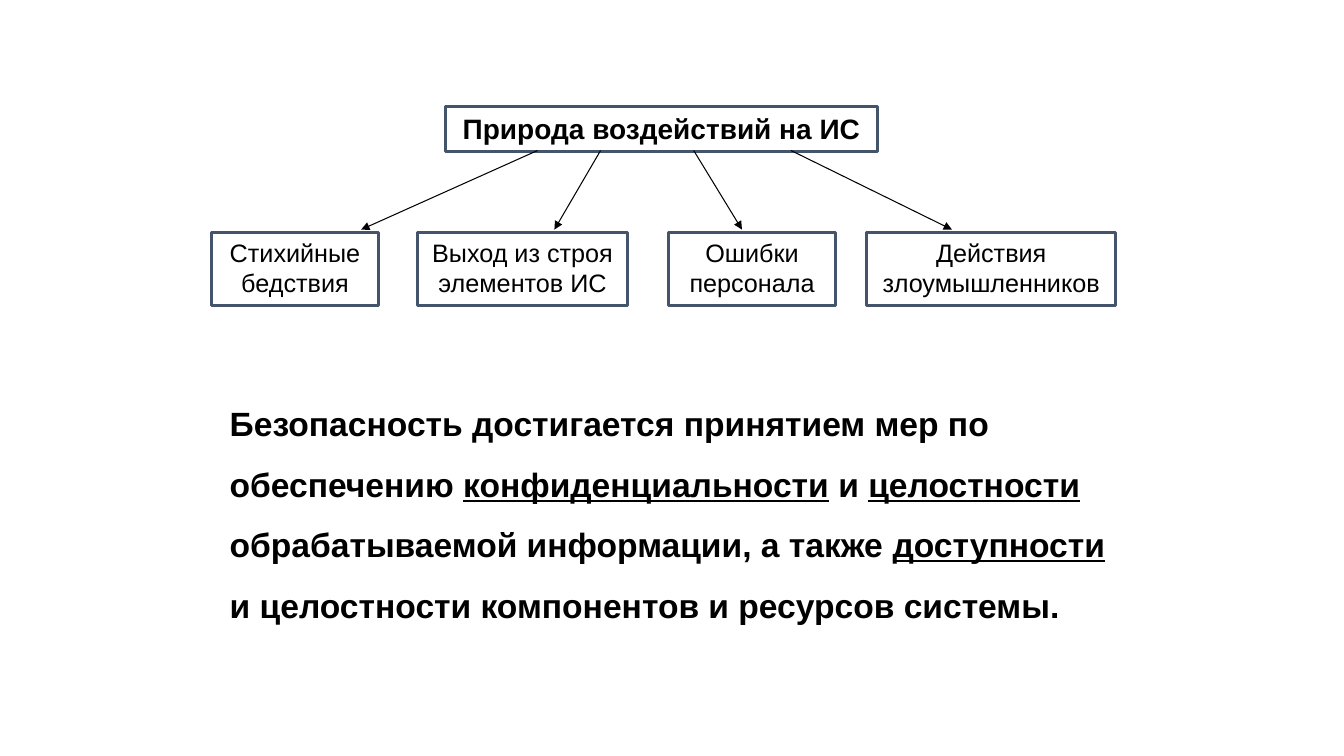
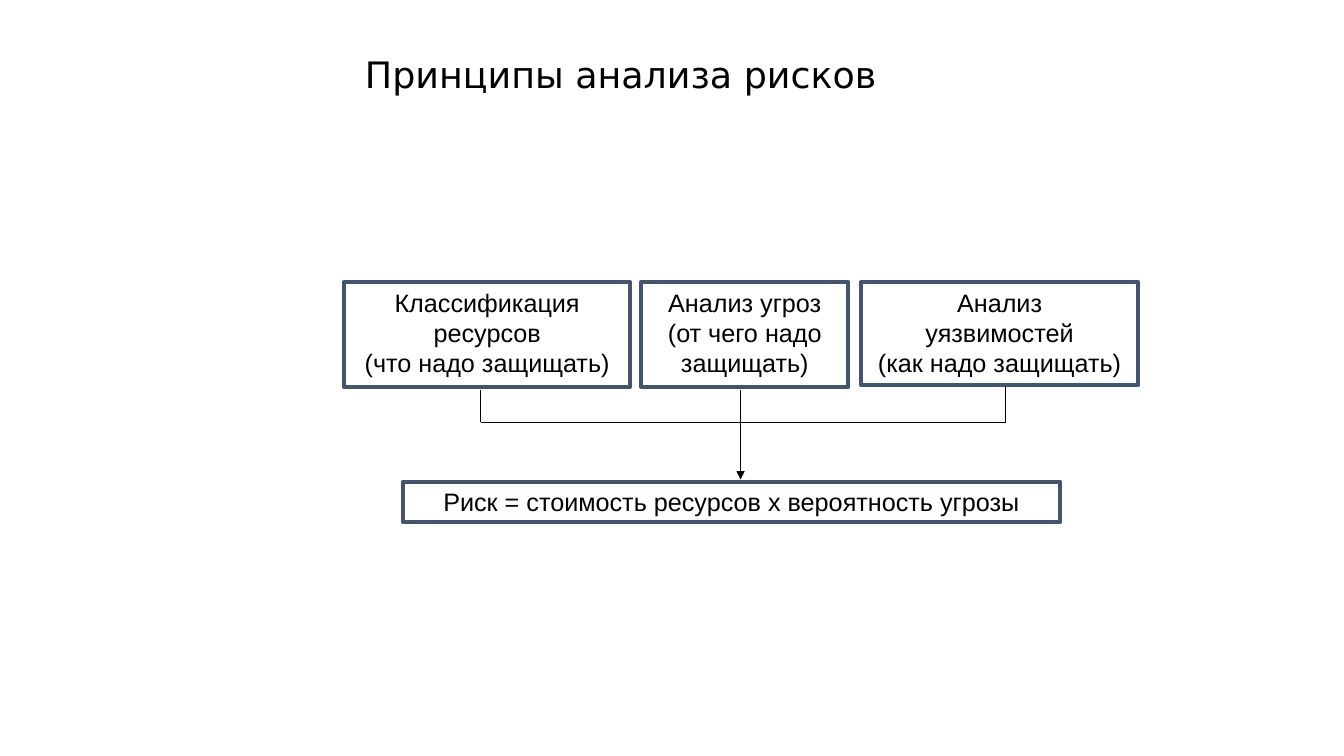
from pptx import Presentation
from pptx.dml.color import RGBColor
from pptx.enum.shapes import MSO_CONNECTOR, MSO_SHAPE
from pptx.enum.text import MSO_ANCHOR, MSO_AUTO_SIZE, PP_ALIGN
from pptx.oxml.ns import qn
from pptx.util import Pt
from lxml.etree import SubElement

INK, FRAME = "000000", "44546A"
BODY, HEAD = "Arial", "DejaVu Sans"


def color(code):
    return RGBColor.from_string(code)


def add_run(para, text, size, face=BODY, bold=None, under=None):
    run = para.add_run()
    run.text = text
    font = run.font
    font.name, font.size, font.bold, font.underline = face, Pt(size), bold, under
    font.color.rgb = color(INK)


def add_box(slide, box, lines, width, size=18, bold=None):
    shape = slide.shapes.add_shape(MSO_SHAPE.RECTANGLE, *map(Pt, box))
    shape.shadow.inherit = False
    shape.fill.background()
    shape.line.color.rgb = color(FRAME)
    shape.line.width = Pt(width)
    frame = shape.text_frame
    frame.word_wrap = True
    frame.auto_size = MSO_AUTO_SIZE.SHAPE_TO_FIT_TEXT
    frame.vertical_anchor = MSO_ANCHOR.TOP
    para = frame.paragraphs[0]
    para.alignment = PP_ALIGN.CENTER
    for i, text in enumerate(lines):
        if i:
            para.add_line_break()
        add_run(para, text, size, bold=bold)


def add_line(slide, start, end, arrow=False):
    line = slide.shapes.add_connector(
        MSO_CONNECTOR.STRAIGHT, *map(Pt, (*start, *end)))
    line.line.color.rgb = color(INK)
    line.line.width = Pt(0.75)
    if arrow:
        SubElement(line.line._get_or_add_ln(), qn("a:tailEnd"), type="triangle")
    SubElement(line._element.spPr, qn("a:effectLst"))


def add_title(slide, box, text):
    title = slide.shapes.title
    title.left, title.top, title.width, title.height = map(Pt, box)
    frame = title.text_frame
    frame.word_wrap = True
    frame.vertical_anchor = MSO_ANCHOR.MIDDLE
    para = frame.paragraphs[0]
    para.alignment = PP_ALIGN.LEFT
    para.line_spacing = 0.9
    add_run(para, text, 26, HEAD)


def add_tree(slide, left, top):
    """Root box with arrows fanning out to four causes."""
    add_box(slide, (left + 167, top, 309, 32), ["Природа воздействий на ИС"],
            2, 20, True)
    causes = [
        (0, 119.5, "Стихийные бедствия", 233, 107),
        (147, 150.5, "Выход из строя элементов ИС", 278, 245),
        (326.5, 119.5, "Ошибки персонала", 344.5, 379),
        (468, 178, "Действия злоумышленников", 414, 529),
    ]
    for x, width, text, tail, tip in causes:
        add_box(slide, (left + x, top + 90, width, 52.5), [text], 2)
        add_line(slide, (left + tail, top + 31.5), (left + tip, top + 88), True)


def add_claim(slide, box):
    frame = slide.shapes.add_textbox(*map(Pt, box)).text_frame
    frame.word_wrap = True
    para = frame.paragraphs[0]
    para.line_spacing = 1.5
    parts = [
        "Безопасность достигается принятием мер по обеспечению ",
        "конфиденциальности", " и ", "целостности",
        " обрабатываемой информации, а также ", "доступности",
        " и целостности компонентов и ресурсов системы.",
    ]
    for i, text in enumerate(parts):
        add_run(para, text, 24, bold=True, under=i % 2 == 1)


def add_risk(slide, left, top):
    """Three analyses joined by a bar that leads to the risk formula."""
    steps = [
        (0, 204, 75, ["Классификация ресурсов", "(что надо защищать)"]),
        (212, 148, 75, ["Анализ угроз", "(от чего надо защищать)"]),
        (369, 198, 73.5, ["Анализ", "уязвимостей", "(как надо защищать)"]),
    ]
    for x, width, height, lines in steps:
        add_box(slide, (left + x, top, width, height), lines, 3)
    first, mid, last = left + 97.5, left + 283, left + 472.5
    bar = top + 100
    add_line(slide, (first, top + 77), (first, bar))
    add_line(slide, (first, bar), (last, bar))
    add_line(slide, (last, bar), (last, top + 74))
    add_line(slide, (mid, top + 77), (mid, top + 141), True)
    add_box(slide, (left + 42, top + 142.5, 469, 29),
            ["Риск = стоимость ресурсов х вероятность угрозы"], 3)


def main():
    deck = Presentation()
    deck.slide_width, deck.slide_height = Pt(960), Pt(540)

    threats = deck.slides.add_slide(deck.slide_layouts[6])
    add_tree(threats, 151, 76)
    add_claim(threats, (157, 270, 641, 221))

    risks = deck.slides.add_slide(deck.slide_layouts[5])
    add_title(risks, (253.5, 9.5, 551, 90), "Принципы анализа рисков")
    add_risk(risks, 246, 201.5)

    deck.save("out.pptx")


if __name__ == "__main__":
    main()
